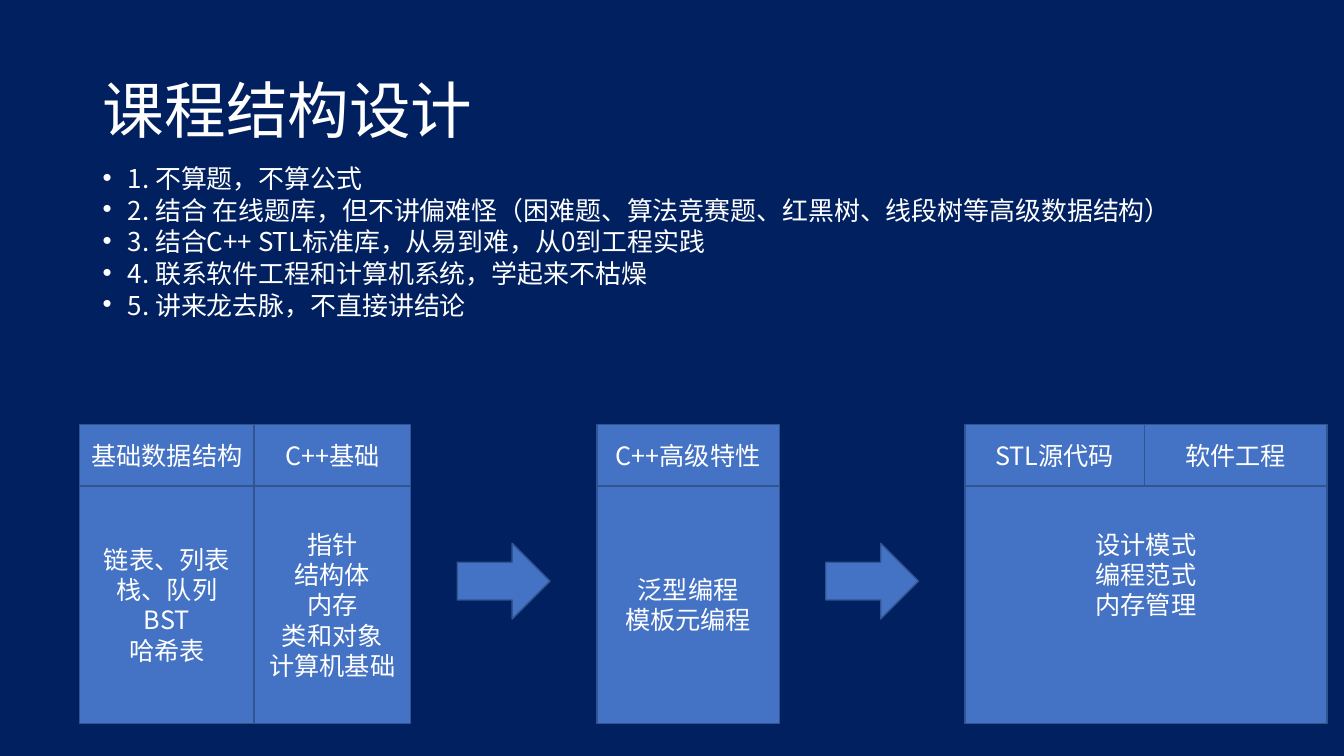
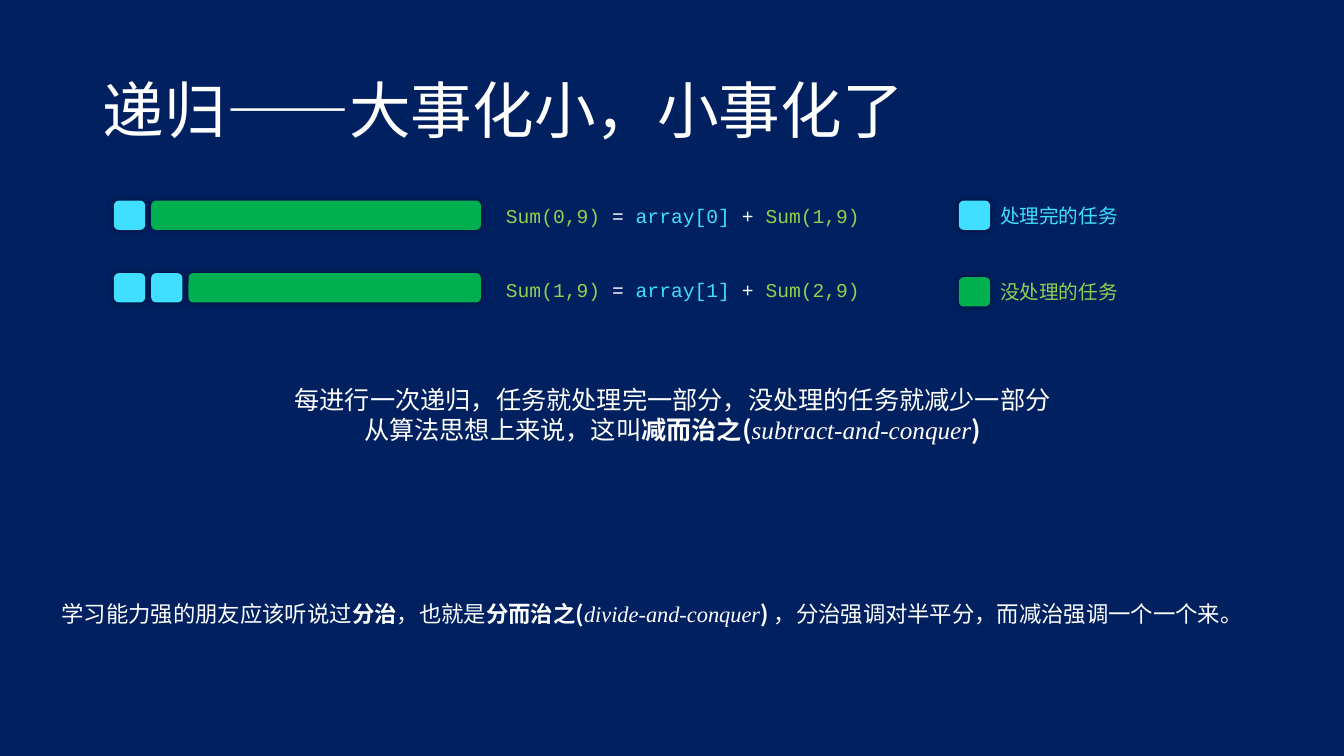
from dataclasses import dataclass

from lxml import etree
from pptx import Presentation
from pptx.dml.color import RGBColor
from pptx.enum import shapes, text
from pptx.oxml import ns
from pptx.util import Inches, Pt

PROCESS = shapes.MSO_SHAPE.FLOWCHART_PROCESS
CENTER = text.PP_ALIGN.CENTER


@dataclass(frozen=True)
class Theme:
    background: str = "002060"
    white: str = "FFFFFF"
    block: str = "4472C4"
    outline: str = "325491"
    done: str = "41DFFF"
    todo: str = "00B050"
    todo_text: str = "92D050"
    body_font: str = "Noto Sans CJK SC"
    code_font: str = "Courier New"
    term_font: str = "Times New Roman"
    title_size: float = 44
    list_size: float = 18.5
    body_size: float = 18
    note_size: float = 16
    code_size: float = 14


THEME = Theme()
BOLD = {"bold": True}
TERM = {"name": THEME.term_font, "italic": True}


class Deck:
    def __init__(self, theme):
        self.theme = theme
        self.prs = Presentation()
        self.prs.slide_width, self.prs.slide_height = Inches(13.33), Inches(7.5)
        fill = self.prs.slide_master.background.fill
        fill.solid()
        fill.fore_color.rgb = RGBColor.from_string(theme.background)
        self.slide = None

    def new_slide(self, title):
        self.slide = self.prs.slides.add_slide(self.prs.slide_layouts[5])
        heading = self.slide.shapes.title
        place = {"left": 0.92, "top": 0.4, "width": 11.5, "height": 1.45}
        for side, inches in place.items():
            setattr(heading, side, Inches(inches))
        heading.text_frame.vertical_anchor = text.MSO_ANCHOR.MIDDLE
        self.fill_text(heading.text_frame, [title], self.theme.title_size,
                       {"alignment": text.PP_ALIGN.LEFT, "line_spacing": 0.9})

    def fill_text(self, frame, lines, size, layout=None, bullet=False, **font):
        """Fill a frame; a line is a string or a list of (words, font values)."""
        base = {"name": self.theme.body_font, "size": Pt(size),
                "color": self.theme.white, **font}
        for index, line in enumerate(lines):
            para = frame.add_paragraph() if index else frame.paragraphs[0]
            for key, value in (layout or {}).items():
                if index or key != "space_before":
                    setattr(para, key, value)
            if bullet:
                props = para._p.get_or_add_pPr()
                props.set("marL", str(Inches(0.25)))
                props.set("indent", str(-Inches(0.25)))
                etree.SubElement(props, ns.qn("a:buFont"), typeface="Arial")
                etree.SubElement(props, ns.qn("a:buChar"), char="•")
            for words, extra in [(line, {})] if isinstance(line, str) else line:
                run = para.add_run()
                run.text = words
                for key, value in {**base, **extra}.items():
                    if key == "color":
                        run.font.color.rgb = RGBColor.from_string(value)
                    else:
                        setattr(run.font, key, value)
                latin = run.font._element.find(ns.qn("a:latin"))
                east_asian = etree.Element(ns.qn("a:ea"), typeface=self.theme.body_font)
                latin.addnext(east_asian)

    def label(self, left, top, width, height, lines, size, layout=None,
              bullet=False, grow=True, **font):
        box = self.slide.shapes.add_textbox(*map(Inches, (left, top, width, height)))
        box.text_frame.word_wrap = True
        if grow:
            box.text_frame.auto_size = text.MSO_AUTO_SIZE.SHAPE_TO_FIT_TEXT
        self.fill_text(box.text_frame, lines, size, layout, bullet, **font)

    def shape(self, kind, left, top, width, height, color, outline=None, parent=None):
        item = (parent or self.slide).shapes.add_shape(
            kind, *map(Inches, (left, top, width, height)))
        item.shadow.inherit = False
        item.fill.solid()
        item.fill.fore_color.rgb = RGBColor.from_string(color)
        if outline:
            item.line.color.rgb = RGBColor.from_string(outline)
            item.line.width = Pt(1)
        else:
            item.line.fill.background()
        return item

    def block(self, left, top, width, height, lines, bottom_inset=0.05):
        item = self.shape(PROCESS, left, top, width, height,
                          self.theme.block, self.theme.outline)
        frame = item.text_frame
        frame.word_wrap = True
        frame.vertical_anchor = text.MSO_ANCHOR.MIDDLE
        frame.margin_bottom = Inches(bottom_inset)
        self.fill_text(frame, lines, self.theme.body_size, {"alignment": CENTER})

    def arrow(self, start, end):
        """Centre a right arrow in the gap between two stages."""
        width = 0.92
        self.shape(shapes.MSO_SHAPE.RIGHT_ARROW, (start + end - width) / 2, 5.39,
                   width, 0.75, self.theme.block, self.theme.outline)

    def task(self, left, top, width, color, parent=None):
        """Draw a rounded task block with a soft glow-like shadow."""
        item = self.shape(shapes.MSO_SHAPE.ROUNDED_RECTANGLE, left, top, width, 0.29,
                          color, parent=parent)
        effects = item._element.spPr.find(ns.qn("a:effectLst"))
        shadow = etree.SubElement(effects, ns.qn("a:outerShdw"),
                                  blurRad=str(Pt(5)), dist="0", algn="ctr")
        black = etree.SubElement(shadow, ns.qn("a:srgbClr"), val="000000")
        etree.SubElement(black, ns.qn("a:alpha"), val="40000")

    def progress(self, top, done):
        """Draw a bar: finished squares first, then the remaining work."""
        left, right, side, step = 1.13, 4.77, 0.31, 0.37
        group = self.slide.shapes.add_group_shape()
        for index in range(done):
            self.task(left + index * step, top, side, self.theme.done, group)
        rest = left + done * step
        self.task(rest, top, right - rest, self.theme.todo, group)

    def equation(self, top, first):
        todo, done = {"color": self.theme.todo_text}, {"color": self.theme.done}
        line = [(f"Sum({first},9) ", todo), ("= ", {}), (f"array[{first}]", done),
                (" + ", {}), (f"Sum({first + 1},9)", todo)]
        self.label(4.92, top, 3.74, 0.34, [line], self.theme.code_size,
                   name=self.theme.code_font)


def course_structure(deck):
    deck.new_slide("课程结构设计")
    principles = [
        "1. 不算题，不算公式",
        "2. 结合 在线题库，但不讲偏难怪（困难题、算法竞赛题、红黑树、线段树等高级数据结构）",
        "3. 结合C++ STL标准库，从易到难，从0到工程实践",
        "4. 联系软件工程和计算机系统，学起来不枯燥",
        "5. 讲来龙去脉，不直接讲结论",
    ]
    deck.label(0.92, 1.65, 11.5, 1.86, principles, THEME.list_size,
               {"line_spacing": 0.7, "space_before": Pt(7)}, bullet=True, grow=False)

    head_top, head_height, body_height = 4.21, 0.61, 2.36
    headers = [
        (0.79, 1.73, "基础数据结构"),
        (2.52, 1.55, "C++基础"),
        (5.92, 1.81, "C++高级特性"),
        (9.57, 1.78, "STL源代码"),
        (11.35, 1.81, "软件工程"),
    ]
    topics = [
        (0.79, 1.73, ["链表、列表", "栈、队列", "BST", "哈希表"], 0.05),
        (2.52, 1.55, ["指针", "结构体", "内存", "类和对象", "计算机基础"], 0.05),
        (5.92, 1.81, ["泛型编程", "模板元编程"], 0.05),
        (9.57, 3.59, ["设计模式", "编程范式", "内存管理"], 0.65),
    ]
    for left, width, name in headers:
        deck.block(left, head_top, width, head_height, [name])
    for left, width, lines, inset in topics:
        deck.block(left, head_top + head_height, width, body_height, lines, inset)
    for start, end in [(4.07, 5.92), (7.73, 9.57)]:
        deck.arrow(start, end)


def recursion(deck):
    deck.new_slide("递归——大事化小，小事化了")
    for step, (bar_top, equation_top) in enumerate([(1.99, 1.97), (2.71, 2.71)]):
        deck.progress(bar_top, step + 1)
        deck.equation(equation_top, step)

    legend = [(1.99, "处理完的任务", THEME.done, THEME.done),
              (2.75, "没处理的任务", THEME.todo, THEME.todo_text)]
    for top, meaning, color, text_color in legend:
        deck.task(9.51, top, 0.31, color)
        deck.label(9.82, top - 0.02, 1.55, 0.34, [meaning], THEME.code_size,
                   name=THEME.code_font, color=text_color)

    centered = {"alignment": CENTER}
    summary = [
        "每进行一次递归，任务就处理完一部分，没处理的任务就减少一部分",
        [("从算法思想上来说，这叫", {}), ("减而治之(", BOLD),
         ("subtract-and-conquer", TERM), (")", BOLD)],
    ]
    deck.label(0.58, 3.76, 12.18, 0.71, summary, THEME.body_size, centered)
    comparison = [
        ("学习能力强的朋友应该听说过", {}), ("分治", BOLD), ("，也就是", {}),
        ("分而治之(", BOLD), ("divide-and-conquer", TERM), (")", BOLD),
        (" ，分治强调对半平分，而减治强调一个一个来。", {}),
    ]
    deck.label(0.38, 5.9, 12.18, 0.37, [comparison], THEME.note_size, centered)


def main():
    deck = Deck(THEME)
    course_structure(deck)
    recursion(deck)
    deck.prs.save("out.pptx")


if __name__ == "__main__":
    main()
